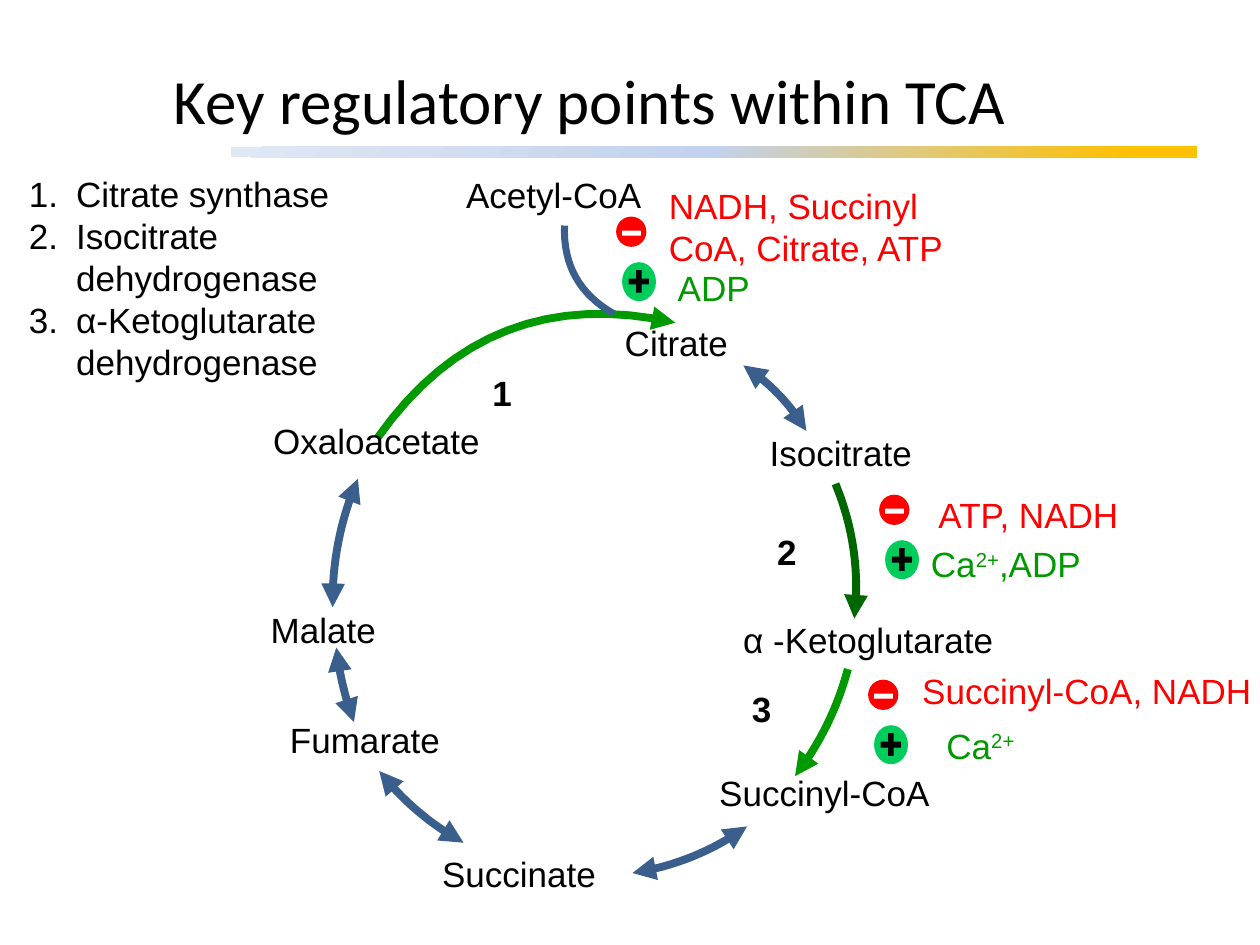
from math import hypot

from lxml import etree
from pptx import Presentation
from pptx.dml.color import RGBColor
from pptx.enum.shapes import MSO_SHAPE
from pptx.enum.text import MSO_ANCHOR, PP_ALIGN
from pptx.oxml import parse_xml
from pptx.oxml.ns import qn
from pptx.util import Pt

RECT, OVAL = MSO_SHAPE.RECTANGLE, MSO_SHAPE.OVAL
MIDDLE, CENTER = MSO_ANCHOR.MIDDLE, PP_ALIGN.CENTER
BLACK = RGBColor(0x00, 0x00, 0x00)
WHITE = RGBColor(0xFF, 0xFF, 0xFF)
RED = RGBColor(0xFF, 0x00, 0x00)
GREEN = RGBColor(0x00, 0x99, 0x00)
DARK = RGBColor(0x00, 0x66, 0x00)
MINT = RGBColor(0x00, 0xCC, 0x5C)
BLUE = RGBColor(0x3A, 0x5F, 0x8C)
BODY = {"name": "Arial", "size": Pt(20)}
BOLD = BODY | {"bold": True}
HEAD = {"name": "Calibri", "size": Pt(36)}
LEADING, INSET = 24, 3.6
STEPS = 16

STOPS = ((7, "FFC000"), (50, "C2D1ED"), (100, "E1E8F5"))
ENZYMES = ("Citrate synthase", "Isocitrate dehydrogenase",
           "α-Ketoglutarate dehydrogenase")
LABELS = (
    ("Acetyl-CoA", 115.2, 5.8), ("Citrate", 205.9, 90),
    ("Isocitrate", 288.7, 153.2), ("α -Ketoglutarate", 273.6, 259.9),
    ("Succinyl-CoA", 259.9, 347.5), ("Succinate", 101.5, 393.4),
    ("Fumarate", 14.6, 316.8), ("Malate", 3.6, 254.2),
    ("Oxaloacetate", 5, 146.2),
)
NUMBERS = (("1", 130.3, 118.8), ("2", 293, 209.5), ("3", 278.6, 299.5))
BOTH, ONE, NONE = ("headEnd", "tailEnd"), ("tailEnd",), ()
ARROWS = (
    ((72, 159.9), (241.9, 94.4), 30.4, GREEN, ONE),
    ((280.8, 118.8), (316.8, 156.2), 3, BLUE, BOTH),
    ((333.4, 186.5), (344.2, 263.5), 5, DARK, ONE),
    ((340.5, 292.3), (310.3, 353.5), 3.4, GREEN, ONE),
    ((282.9, 382.3), (217.4, 408.9), 4.2, BLUE, BOTH),
    ((120.9, 391.6), (72.7, 350.6), 3.2, BLUE, BOTH),
    ((58.3, 322.6), (48.2, 280.1), 1.3, BLUE, BOTH),
    ((46.1, 257), (60.5, 183.6), 4, BLUE, BOTH),
    ((178.6, 38.9), (206.7, 89.3), -8.8, BLUE, NONE),
)
SIGNS = (
    (OVAL, (0, 0, 17.3, 17.3), RED),
    (RECT, (3.4, 8, 10.8, 2.9), WHITE),
    (OVAL, (3.4, 26, 19.4, 22.3), MINT),
    (RECT, (7.2, 35.4, 11.5, 3.4), BLACK),
    (RECT, (11.4, 30.5, 3.2, 13), BLACK),
)
CONTROLS = (
    (208.1, 33.8, ("NADH, Succinyl CoA, Citrate, ATP", 23, -22, 204.5, 2),
     ("ADP", 28.1, 24.8, 117.4, 1)),
    (358.4, 192.7, ("ATP, NADH", 26.8, -4.3, 148.3, 1),
     ("Ca^2+^,ADP", 22.5, 23.8, 135.4, 1)),
    (352.1, 298.4, ("Succinyl-CoA, NADH", 23.8, -9.4, 236.2, 1),
     ("Ca^2+^", 37.6, 21.9, 97.2, 1)),
)


def write(para, text, style, color):
    """Fill a paragraph with runs; text between carets is raised."""
    for i, part in enumerate(text.split("^")):
        if part:
            run = para.add_run()
            run.text = part
            for key, value in style.items():
                setattr(run.font, key, value)
            run.font.color.rgb = color
            if i % 2:
                run._r.get_or_add_rPr().set("baseline", "30000")


def add_text(slide, box, lines, style=BODY, color=BLACK):
    """Add a wrapped text box with one paragraph per line."""
    frame = slide.shapes.add_textbox(*map(Pt, box)).text_frame
    frame.word_wrap = True
    for i, line in enumerate(lines):
        para = frame.add_paragraph() if i else frame.paragraphs[0]
        if style is not HEAD:
            para.line_spacing = Pt(LEADING)
        write(para, line, style, color)
    return frame


def add_label(slide, x, y, text, width, style=BODY, color=BLACK, rows=1):
    """Add one label whose height follows from its rows."""
    box = x, y, width, rows * LEADING + 2 * INSET
    add_text(slide, box, [text], style, color)


def add_shape(slide, kind, box, color):
    """Add a plain filled shape."""
    shape = slide.shapes.add_shape(kind, *map(Pt, box))
    shape.shadow.inherit = False
    shape.fill.solid()
    shape.fill.fore_color.rgb = color
    shape.line.fill.background()
    return shape


def add_title(slide, x, y):
    """Place the title and the gradient rule below it."""
    bar = add_shape(slide, RECT, (x + 118.8, y + 72.5, 552.2, 5.8), WHITE)
    stops = "".join(f'<a:gs pos="{pos}000"><a:srgbClr val="{val}"/></a:gs>'
                    for pos, val in STOPS)
    props = bar._element.spPr
    props.replace(props.find(qn("a:solidFill")), parse_xml(
        '<a:gradFill xmlns:a="http://schemas.openxmlformats.org/drawingml/'
        f'2006/main" rotWithShape="1"><a:gsLst>{stops}</a:gsLst>'
        '<a:path path="circle"><a:fillToRect l="100000" t="100000"/>'
        '</a:path></a:gradFill>'))
    frame = add_text(slide, (x, y, 648, 90),
                     ["Key regulatory points within TCA"], HEAD)
    frame.vertical_anchor = MIDDLE
    frame.paragraphs[0].alignment = CENTER


def add_list(slide, x, y):
    """Place the numbered list of enzymes."""
    frame = add_text(slide, (x, y, 192.2, 193.7), ENZYMES)
    for para in frame.paragraphs:
        props = para._p.get_or_add_pPr()
        props.set("marL", str(Pt(27)))
        props.set("indent", str(-Pt(27)))
        etree.SubElement(props, qn("a:buFont"), typeface="+mj-lt")
        etree.SubElement(props, qn("a:buAutoNum"), type="arabicPeriod")


def bend(start, end, bow):
    """Return points on a parabola that rises by bow left of its chord."""
    (x, y), (right, low) = start, end
    dx, dy = right - x, low - y
    span = hypot(dx, dy)
    spots = []
    for i in range(STEPS + 1):
        t = i / STEPS
        rise = 4 * bow * t * (1 - t) / span
        spots.append((Pt(x + t * dx + rise * dy), Pt(y + t * dy - rise * dx)))
    return spots


def add_arrow(slide, x, y, start, end, bow, color, ends):
    """Draw one curved line with the given arrowheads."""
    first, *rest = bend((x + start[0], y + start[1]),
                        (x + end[0], y + end[1]), bow)
    pen = slide.shapes.build_freeform(*first)
    pen.add_line_segments(rest, close=False)
    shape = pen.convert_to_shape()
    shape.shadow.inherit = False
    shape.fill.background()
    shape.line.color.rgb = color
    shape.line.width = Pt(4.5 if ends else 4)
    line = shape.line._get_or_add_ln()
    etree.SubElement(line, qn("a:round"))
    for tip in ends:
        etree.SubElement(line, qn(f"a:{tip}"), type="triangle")


def add_control(slide, x, y, minus, plus):
    """Place the minus and plus signs with their regulators."""
    for kind, (dx, dy, width, height), color in SIGNS:
        add_shape(slide, kind, (x + dx, y + dy, width, height), color)
    for (text, dx, dy, width, rows), color in ((minus, RED), (plus, GREEN)):
        add_label(slide, x + dx, y + dy, text, width, BODY, color, rows)


def add_cycle(slide, x, y):
    """Place the arrows, compounds, regulators and step numbers."""
    for arrow in ARROWS:
        add_arrow(slide, x, y, *arrow)
    for text, dx, dy in LABELS:
        add_label(slide, x + dx, y + dy, text, 198)
    for dx, dy, minus, plus in CONTROLS:
        add_control(slide, x + dx, y + dy, minus, plus)
    for text, dx, dy in NUMBERS:
        add_label(slide, x + dx, y + dy, text, 56.2, BOLD)


def main():
    """Build and save the slide."""
    deck = Presentation()
    deck.slide_width, deck.slide_height = Pt(720), Pt(540)
    slide = deck.slides.add_slide(deck.slide_layouts[6])
    add_title(slide, 13, 11.5)
    add_cycle(slide, 144, 90)
    add_list(slide, 9.4, 95)
    deck.save("out.pptx")


if __name__ == "__main__":
    main()
